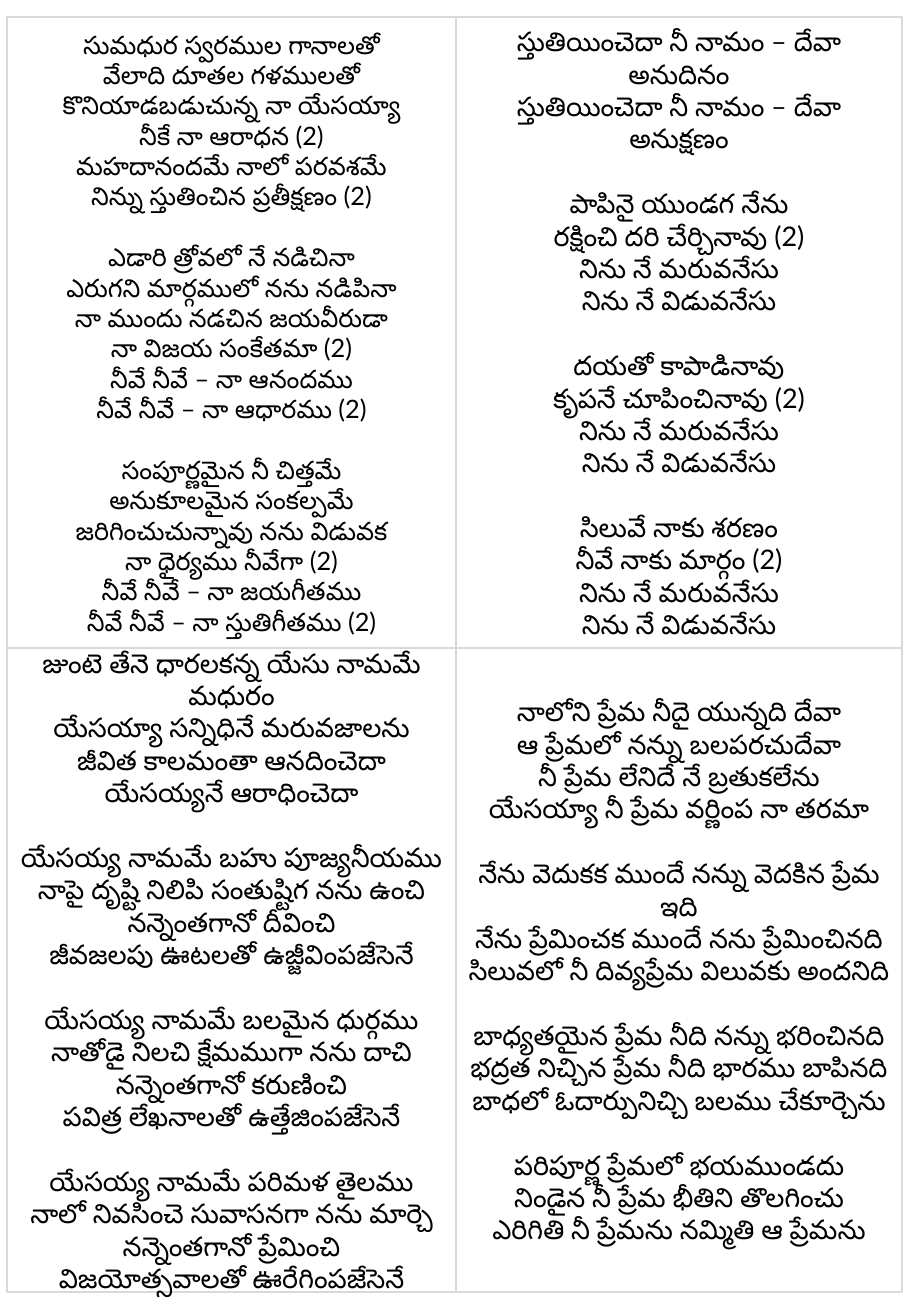
from lxml import etree
from pptx import Presentation
from pptx.dml.color import RGBColor
from pptx.enum.shapes import MSO_SHAPE
from pptx.enum.text import MSO_ANCHOR, PP_ALIGN
from pptx.oxml.ns import qn
from pptx.util import Pt

RECTANGLE = MSO_SHAPE.RECTANGLE
MIDDLE = MSO_ANCHOR.MIDDLE
CENTER = PP_ALIGN.CENTER

REFRAIN = ["నిను నే మరువనేసు", "నిను నే విడువనేసు"]

# Each song is a list of stanzas, and each stanza a list of lines.
SWEET_VOICES = [
    ["సుమధుర స్వరముల గానాలతో", "వేలాది దూతల గళములతో",
     "కొనియాడబడుచున్న నా యేసయ్యా", "నీకే నా ఆరాధన (2)",
     "మహదానందమే నాలో పరవశమే", "నిన్ను స్తుతించిన ప్రతీక్షణం (2)"],
    ["ఎడారి త్రోవలో నే నడిచినా", "ఎరుగని మార్గములో నను నడిపినా",
     "నా ముందు నడచిన జయవీరుడా", "నా విజయ సంకేతమా (2)",
     "నీవే నీవే – నా ఆనందము", "నీవే నీవే – నా ఆధారము (2)"],
    ["సంపూర్ణమైన నీ చిత్తమే", "అనుకూలమైన సంకల్పమే",
     "జరిగించుచున్నావు నను విడువక", "నా ధైర్యము నీవేగా (2)",
     "నీవే నీవే – నా జయగీతము", "నీవే నీవే – నా స్తుతిగీతము (2)"],
]
PRAISE = [
    ["స్తుతియించెదా నీ నామం – దేవా అనుదినం",
     "స్తుతియించెదా నీ నామం – దేవా అనుక్షణం"],
    ["పాపినై యుండగ నేను", "రక్షించి దరి చేర్చినావు (2)", *REFRAIN],
    ["దయతో కాపాడినావు", "కృపనే చూపించినావు (2)", *REFRAIN],
    ["సిలువే నాకు శరణం", "నీవే నాకు మార్గం (2)", *REFRAIN],
]
HONEY = [
    ["జుంటె తేనె ధారలకన్న యేసు నామమే మధురం",
     "యేసయ్యా సన్నిధినే మరువజాలను",
     "జీవిత కాలమంతా ఆనదించెదా", "యేసయ్యనే ఆరాధించెదా"],
    ["యేసయ్య నామమే బహు పూజ్యనీయము",
     "నాపై దృష్టి నిలిపి సంతుష్టిగ నను ఉంచి",
     "నన్నెంతగానో దీవించి", "జీవజలపు ఊటలతో ఉజ్జీవింపజేసెనే"],
    ["యేసయ్య నామమే బలమైన ధుర్గము",
     "నాతోడై నిలచి క్షేమముగా నను దాచి",
     "నన్నెంతగానో కరుణించి", "పవిత్ర లేఖనాలతో ఉత్తేజింపజేసెనే"],
    ["యేసయ్య నామమే పరిమళ తైలము",
     "నాలో నివసించె సువాసనగా నను మార్చె",
     "నన్నెంతగానో ప్రేమించి", "విజయోత్సవాలతో ఊరేగింపజేసెనే"],
]
LOVE = [
    ["నాలోని ప్రేమ నీదై యున్నది దేవా", "ఆ ప్రేమలో నన్ను బలపరచుదేవా",
     "నీ ప్రేమ లేనిదే నే బ్రతుకలేను",
     "యేసయ్యా నీ ప్రేమ వర్ణింప నా తరమా"],
    ["నేను వెదుకక ముందే నన్ను వెదకిన ప్రేమ ఇది",
     "నేను ప్రేమించక ముందే నను ప్రేమించినది",
     "సిలువలో నీ దివ్యప్రేమ విలువకు అందనిది"],
    ["బాధ్యతయైన ప్రేమ నీది నన్ను భరించినది",
     "భద్రత నిచ్చిన ప్రేమ నీది భారము బాపినది",
     "బాధలో ఓదార్పునిచ్చి బలము చేకూర్చెను"],
    ["పరిపూర్ణ ప్రేమలో భయముండదు", "నిండైన నీ ప్రేమ భీతిని తొలగించు",
     "ఎరిగితి నీ ప్రేమను నమ్మితి ఆ ప్రేమను"],
]
# Rows of (song, text size in points).
SONG_ROWS = [[(SWEET_VOICES, 15), (PRAISE, 16)], [(HONEY, 16), (LOVE, 16)]]

SCALE = 914400 / 121.5
SLIDE_WIDTH, SLIDE_HEIGHT = 911, 1316
COLUMN_EDGES = [7, 456, 902]
ROW_EDGES = [17, 648, 1292]
FONT = "Lato"
LINE_HEIGHT = 1.2
FRAME_FORMAT = {"word_wrap": True, "vertical_anchor": MIDDLE}


def emu(pixels):
    """Turn pixels into EMU."""
    return round(pixels * SCALE)


def color(hex_string):
    """Turn a hex string into a colour."""
    return RGBColor.from_string(hex_string)


def apply_format(target, values):
    """Set each attribute of the target from a dict."""
    for name, value in values.items():
        setattr(target, name, value)


def add_line(paragraph, text, size, gap):
    """Write one line of a song, with a gap in points above it."""
    apply_format(paragraph, {"alignment": CENTER, "space_before": Pt(gap)})
    run = paragraph.add_run()
    run.text = text
    apply_format(run.font, {"name": FONT, "size": Pt(size)})
    run.font.color.rgb = color("000000")
    # Telugu is drawn with the complex-script font.
    etree.SubElement(run.font._element, qn("a:cs"), typeface=FONT)


def add_song(slide, song, size, left, top, right, bottom):
    """Draw one bordered panel holding a song."""
    shape = slide.shapes.add_shape(
        RECTANGLE, emu(left), emu(top), emu(right - left), emu(bottom - top))
    shape.shadow.inherit = False
    shape.fill.solid()
    shape.fill.fore_color.rgb = color("FFFFFF")
    shape.line.color.rgb = color("D9D9D9")
    shape.line.width = Pt(1)
    frame = shape.text_frame
    apply_format(frame, FRAME_FORMAT)
    paragraph = frame.paragraphs[0]
    for stanza_index, stanza in enumerate(song):
        for line_index, text in enumerate(stanza):
            if stanza_index or line_index:
                paragraph = frame.add_paragraph()
            starts_later_stanza = stanza_index > 0 and line_index == 0
            gap = size * LINE_HEIGHT if starts_later_stanza else 0
            add_line(paragraph, text, size, gap)


presentation = Presentation()
apply_format(presentation, {"slide_width": emu(SLIDE_WIDTH),
                            "slide_height": emu(SLIDE_HEIGHT)})
slide = presentation.slides.add_slide(presentation.slide_layouts[6])
for row, songs in enumerate(SONG_ROWS):
    for column, (song, size) in enumerate(songs):
        add_song(slide, song, size, COLUMN_EDGES[column], ROW_EDGES[row],
                 COLUMN_EDGES[column + 1], ROW_EDGES[row + 1])
presentation.save("out.pptx")
